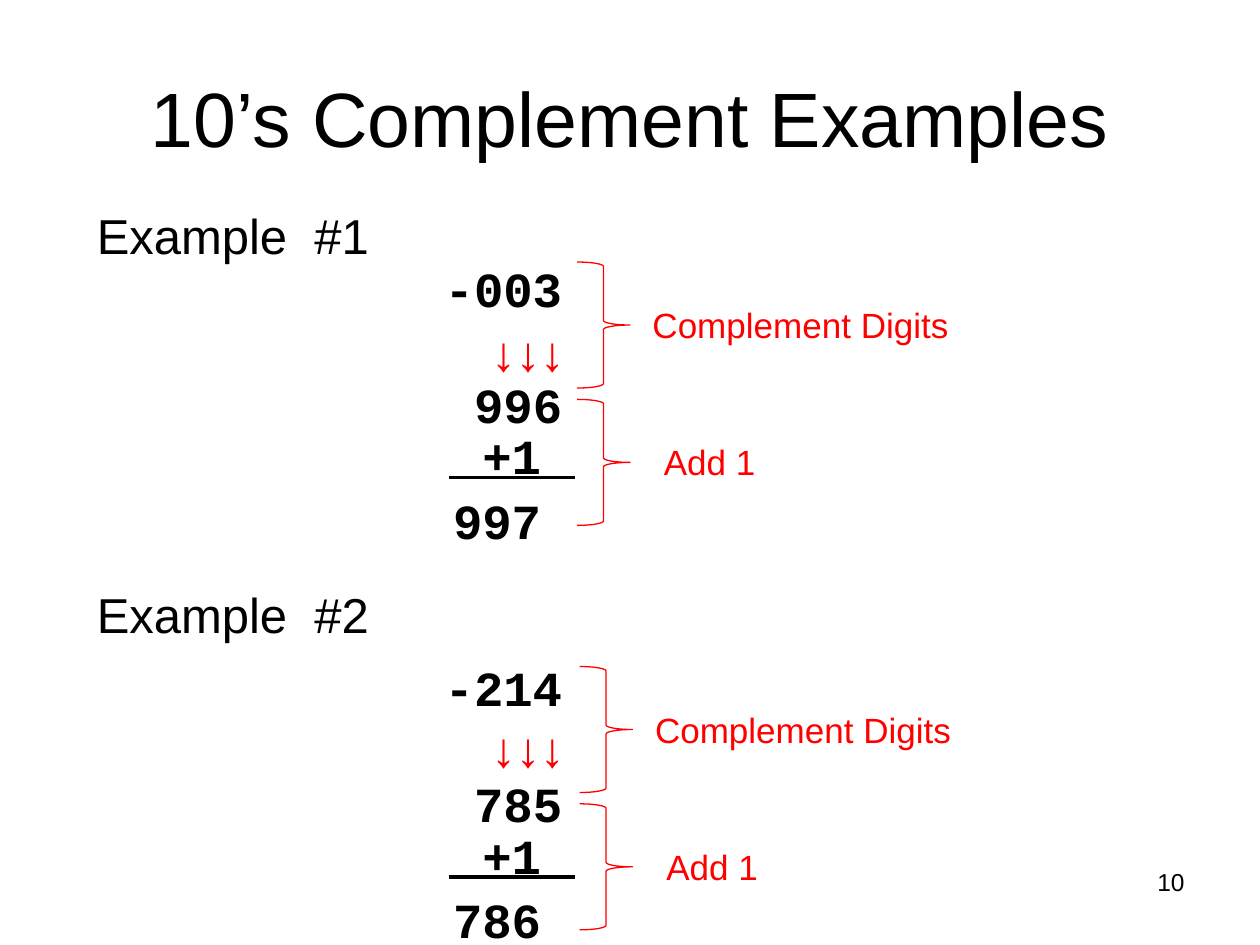
from pptx import Presentation
from pptx import util as u
from pptx.dml.color import RGBColor
from pptx.enum import shapes, text
from pptx.oxml.ns import qn

BLACK, RED = "000000", "FF0000"
SANS, MONO = "Arial", "Courier New"
LEFT, CENTER, RIGHT = text.PP_ALIGN.LEFT, text.PP_ALIGN.CENTER, text.PP_ALIGN.RIGHT

TITLE = "10’s Complement Examples"
PAGE_NUMBER = "10"
ARROWS = "↓↓↓"
STEPS = ["Complement Digits", "Add 1"]
EXAMPLES = [
    {"heading": "Example  #1", "heading_top": 1.58, "sum_top": 2.0, "arrow_top": 2.51,
     "brace_at": (4.58, 2.08), "rows": ["-003", "996", "+1", "997"]},
    {"heading": "Example  #2", "heading_top": 4.59, "sum_top": 5.17, "arrow_top": 5.65,
     "brace_at": (4.6, 5.29), "rows": ["-214", "785", "+1", "786"]},
]

ROW_OFFSETS = [0, 0.92, 1.33, 1.84]   # below the top of the sum
SHIFTED_ROWS = (2, 3)                 # rows followed by a small space
RULE_OFFSET = 1.79
SUM_LEFT, SUM_WIDTH, ROW_HEIGHT = 2.48, 2.08, 0.57
BRACE_WIDTH, BRACE_HEIGHT, BRACE_STEP = 0.42, 1, 1.09
LABEL_OFFSETS = [0.5, 0.59]           # right of the brace's left edge


def color(value):
    return RGBColor.from_string(value)


def add_text(page, words, at, size, font=SANS, ink=BLACK, bold=False, align=LEFT):
    box = page.shapes.add_textbox(*map(u.Inches, at))
    frame = box.text_frame
    frame.word_wrap = True
    para = frame.paragraphs[0]
    para.text = words
    para.alignment = align
    style(para.runs[0], size, font, ink, bold)
    return box


def style(span, size, font, ink, bold):
    span.font.size = u.Pt(size)
    span.font.name = font
    span.font.bold = bold
    span.font.color.rgb = color(ink)


def add_rule(page, left, right, top):
    rule = page.shapes.add_connector(
        shapes.MSO_CONNECTOR.STRAIGHT, *map(u.Inches, (left, top, right, top)))
    rule.line.color.rgb = color(BLACK)
    rule.line.width = u.Pt(2.25)
    properties = rule._element.spPr
    properties.append(properties.makeelement(qn("a:effectLst"), {}))


def add_brace(page, left, top):
    brace = page.shapes.add_shape(
        shapes.MSO_SHAPE.RIGHT_BRACE,
        *map(u.Inches, (left, top, BRACE_WIDTH, BRACE_HEIGHT)))
    brace.shadow.inherit = False
    brace.fill.background()
    brace.line.color.rgb = color(RED)
    brace.line.width = u.Pt(0.75)


def add_example(page, example):
    add_text(page, example["heading"], (0.67, example["heading_top"], 2.58, ROW_HEIGHT), 28)

    sum_top = example["sum_top"]
    for index, (digits, offset) in enumerate(zip(example["rows"], ROW_OFFSETS)):
        box = add_text(page, digits, (SUM_LEFT, sum_top + offset, SUM_WIDTH, ROW_HEIGHT),
                       28, MONO, bold=True, align=RIGHT)
        if index in SHIFTED_ROWS:
            span = box.text_frame.paragraphs[0].add_run()
            span.text = " "
            style(span, 20, MONO, BLACK, True)
    right = SUM_LEFT + SUM_WIDTH
    add_rule(page, right - 1, right, sum_top + RULE_OFFSET)
    add_text(page, ARROWS, (3.06, example["arrow_top"], 1.52, ROW_HEIGHT),
             28, ink=RED, bold=True, align=RIGHT)

    left, first_top = example["brace_at"]
    for index, (step, offset) in enumerate(zip(STEPS, LABEL_OFFSETS)):
        top = first_top + index * BRACE_STEP
        add_brace(page, left, top)
        add_text(page, step, (left + offset, top + 0.28, 2.91, 0.44), 20, ink=RED)


def main():
    deck = Presentation()
    deck.slide_width, deck.slide_height = u.Inches(10), u.Inches(7.5)
    page = deck.slides.add_slide(deck.slide_layouts[6])

    title = add_text(page, TITLE, (0.5, 0.3, 9, 1.25), 44, align=CENTER)
    title.text_frame.vertical_anchor = text.MSO_ANCHOR.MIDDLE
    add_text(page, PAGE_NUMBER, (7.17, 6.83, 2.33, 0.52), 14, align=RIGHT)
    for example in EXAMPLES:
        add_example(page, example)

    deck.save("out.pptx")


if __name__ == "__main__":
    main()
